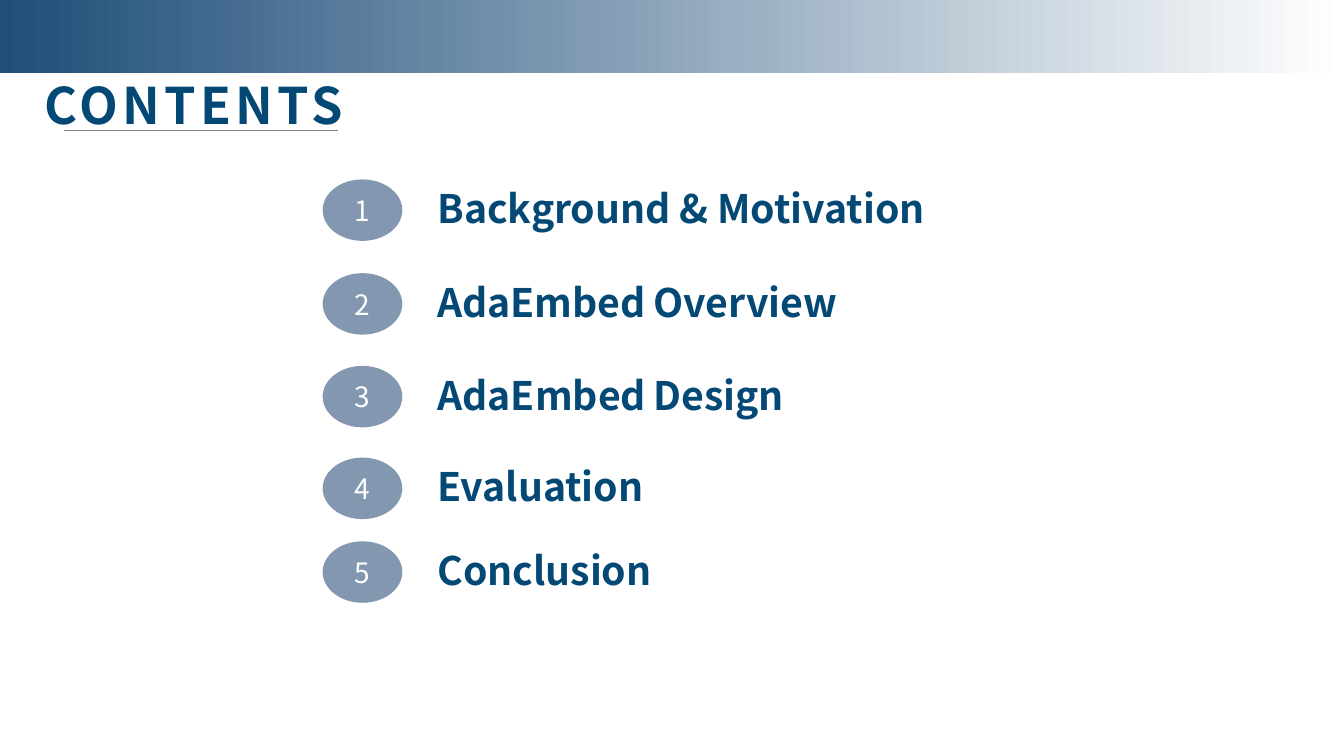
import pptx
import pptx.dml.color
import pptx.enum.shapes
import pptx.enum.text
import pptx.oxml
import pptx.util
from pptx.util import Inches

FONT = "Noto Sans CJK SC"
NAVY = "044875"
WHITE = "FFFFFF"
SLIDE_WIDTH, SLIDE_HEIGHT = 13.33, 7.5

# Each entry: top of the row, then its runs as (text, size, colour)
CONTENTS = [
    (1.78, [("Background & Motivation", 28, NAVY)], 5.35),
    (2.71, [("AdaEmbed", 28, NAVY), (" ", 24, "000000"), ("Overview", 28, NAVY)], 4.3),
    (3.63, [("AdaEmbed", 28, NAVY), (" ", 24, "000000"), ("Design", 28, NAVY)], 3.81),
    (4.54, [("Evaluation", 28, NAVY)], 2.26),
    (5.37, [("Conclusion", 28, NAVY)], 2.37),
]


def color(hex_string):
    return pptx.dml.color.RGBColor.from_string(hex_string)


def add_run(paragraph, text, size, hex_string, bold=False):
    run = paragraph.add_run()
    run.text = text
    run.font.name = FONT
    run.font.size = pptx.util.Pt(size)
    run.font.bold = bold
    run.font.color.rgb = color(hex_string)
    return run


def add_text_box(shapes, left, top, width, height, wrap):
    box = shapes.add_textbox(Inches(left), Inches(top), Inches(width), Inches(height))
    box.text_frame.word_wrap = wrap
    box.text_frame.auto_size = pptx.enum.text.MSO_AUTO_SIZE.SHAPE_TO_FIT_TEXT
    return box.text_frame.paragraphs[0]


def add_plain_shape(shapes, kind, left, top, width, height):
    shape = shapes.add_shape(kind, Inches(left), Inches(top), Inches(width), Inches(height))
    shape.shadow.inherit = False
    shape.line.fill.background()
    return shape


def add_banner(slide, left, top, width, height):
    banner = add_plain_shape(slide.shapes, pptx.enum.shapes.MSO_SHAPE.RECTANGLE,
                             left, top, width, height)
    banner.fill.gradient()
    banner.fill.gradient_angle = 0
    for stop, hex_string in zip(banner.fill.gradient_stops, ("1F4E79", WHITE)):
        stop.color.rgb = color(hex_string)


def add_heading(slide, left, top, width, height):
    paragraph = add_text_box(slide.shapes, left, top, width, height, True)
    run = add_run(paragraph, "CONTENTS", 36, NAVY, bold=True)
    run.font._element.set("spc", "300")  # letter spacing of 3 points

    # Thin rule under the heading
    rule_y = Inches(top + 0.6)
    rule = slide.shapes.add_connector(pptx.enum.shapes.MSO_CONNECTOR.STRAIGHT,
                                      Inches(left + 0.29), rule_y, Inches(left + 3.01), rule_y)
    rule.line.color.rgb = color("7F7F7F")
    rule.line.width = pptx.util.Pt(0.5)
    rule._element.spPr.append(pptx.oxml.parse_xml(
        '<a:effectLst xmlns:a="http://schemas.openxmlformats.org/drawingml/2006/main"/>'))


def add_entry(slide, number, runs, left, top, text_width):
    group = slide.shapes.add_group_shape()

    # Numbered oval
    oval = add_plain_shape(group.shapes, pptx.enum.shapes.MSO_SHAPE.OVAL, left, top, 0.79, 0.61)
    oval.fill.solid()
    oval.fill.fore_color.rgb = color("8497B0")
    oval.text_frame.vertical_anchor = pptx.enum.text.MSO_ANCHOR.MIDDLE
    paragraph = oval.text_frame.paragraphs[0]
    paragraph.alignment = pptx.enum.text.PP_ALIGN.CENTER
    add_run(paragraph, str(number), 20, WHITE)

    # Section name
    paragraph = add_text_box(group.shapes, left + 1.04, top, text_width, 0.57, False)
    for text, size, hex_string in runs:
        add_run(paragraph, text, size, hex_string, bold=True)


def main():
    presentation = pptx.Presentation()
    presentation.slide_width = Inches(SLIDE_WIDTH)
    presentation.slide_height = Inches(SLIDE_HEIGHT)
    slide = presentation.slides.add_slide(presentation.slide_layouts[6])

    add_banner(slide, 0, 0, SLIDE_WIDTH, 0.72)
    add_heading(slide, 0.34, 0.69, 3.94, 0.71)
    for number, (top, runs, text_width) in enumerate(CONTENTS, start=1):
        add_entry(slide, number, runs, 3.2, top, text_width)

    presentation.save("out.pptx")


if __name__ == "__main__":
    main()
